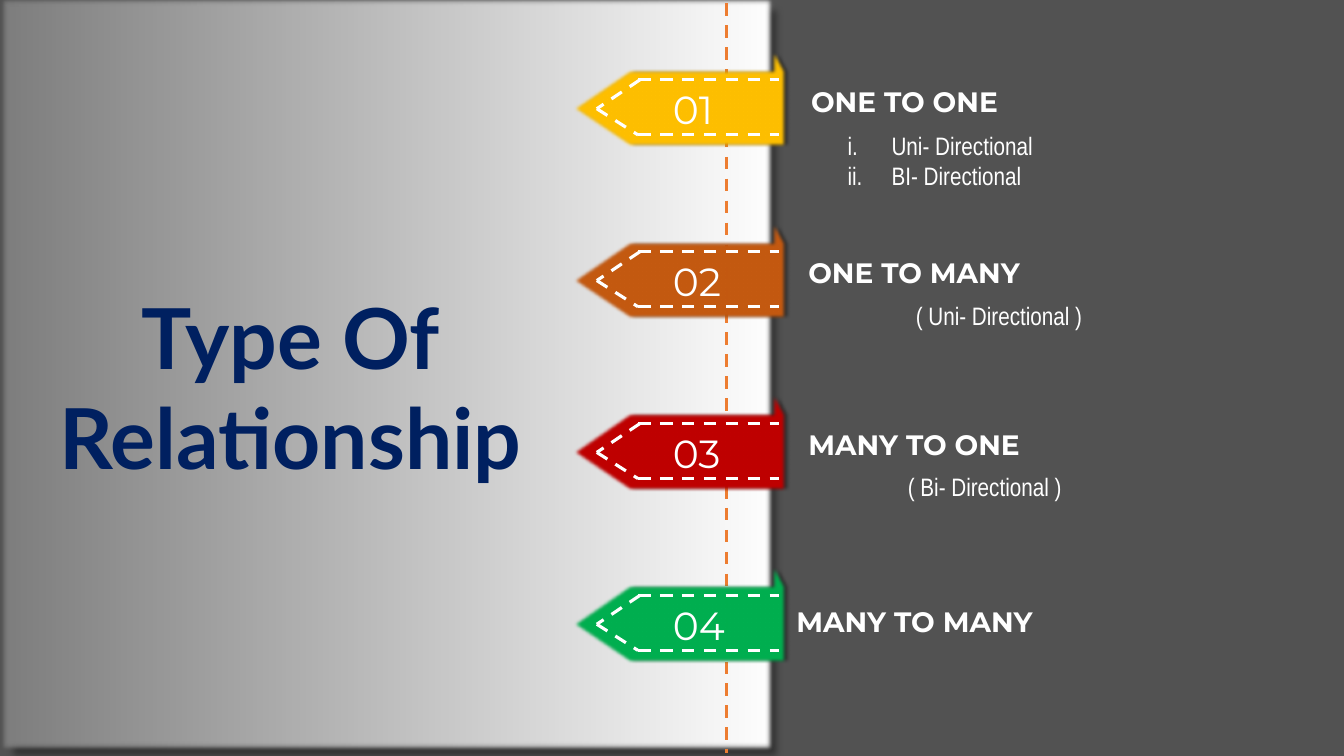
"""Build the slide on types of relationship."""
from typing import NamedTuple

import lxml.etree
import pptx
import pptx.dml.color
import pptx.enum.dml
import pptx.enum.shapes
import pptx.enum.text
import pptx.oxml.ns
import pptx.util

Cm = pptx.util.Cm
Pt = pptx.util.Pt
RGB = pptx.dml.color.RGBColor
qn = pptx.oxml.ns.qn

WHITE = RGB(0xFF, 0xFF, 0xFF)
GREY = RGB(0x7C, 0x7C, 0x7C)
DARK = RGB(0x52, 0x52, 0x52)
NAVY = RGB(0x00, 0x20, 0x60)
ORANGE = RGB(0xED, 0x7D, 0x31)
GOLD = RGB(0xFF, 0xC0, 0x00)
RUST = RGB(0xC5, 0x5A, 0x11)
RED = RGB(0xC0, 0x00, 0x00)
GREEN = RGB(0x00, 0xB0, 0x50)

HEAD = {"name": "Lato", "size": Pt(60), "bold": True, "color": NAVY}
COUNT = {"name": "Montserrat", "size": Pt(28), "color": WHITE}
LABEL = {"name": "Montserrat", "size": Pt(20), "bold": True, "color": WHITE}
NOTE = {"name": "Arial Narrow", "size": Pt(18), "color": WHITE}

PITCH = 4.33
ARROW = [(15.8, 1.73), (19.81, 1.73), (19.81, 3.73), (15.8, 3.73), (14.33, 2.74)]
FOLD = [(19.41, 0.99), (19.81, 1.73), (19.41, 1.73)]
STITCH = [
    ((16.08, 2.01), (19.63, 2.01)),
    ((16.08, 3.4), (19.63, 3.4)),
    ((15.04, 2.74), (16.08, 3.4)),
    ((16.13, 2.01), (15.04, 2.74)),
]


class Box(NamedTuple):
    """Place of a text box in centimetres."""
    left: float
    top: float
    width: float
    height: float


class Kind(NamedTuple):
    """One kind of relationship, with its flag and texts."""
    color: RGB
    title: str
    place: Box
    notes: list[str]
    area: Box | None


KINDS = [
    Kind(GOLD, "ONE TO ONE", Box(20.19, 2.01, 11.1, 1.11),
         ["Uni- Directional", "BI- Directional"], Box(21.11, 3.15, 7.95, 1.79)),
    Kind(RUST, "ONE TO MANY", Box(20.12, 6.32, 7.06, 1.11),
         ["( Uni- Directional )"], Box(22.83, 7.44, 5.84, 1.02)),
    Kind(RED, "MANY TO ONE", Box(20.12, 10.64, 7.06, 1.11),
         ["( Bi- Directional )"], Box(22.63, 11.76, 5.84, 1.02)),
    Kind(GREEN, "MANY TO MANY", Box(19.82, 15.11, 7.06, 1.11), [], None),
]


def style(font, form: dict) -> None:
    """Set each font value from the format."""
    for key, value in form.items():
        if key == "color":
            font.color.rgb = value
        else:
            setattr(font, key, value)


def write(shapes, box: Box, lines: list[str], form: dict,
          center: bool = False, roman: bool = False) -> None:
    """Add a text box with one paragraph per line."""
    frame = shapes.add_textbox(*map(Cm, box)).text_frame
    frame.word_wrap = True
    frame.text = "\n".join(lines)
    for para in frame.paragraphs:
        if center:
            para.alignment = pptx.enum.text.PP_ALIGN.CENTER
        if roman:
            props = para._p.get_or_add_pPr()
            props.set("marL", str(Cm(1.11)))
            props.set("indent", str(-Cm(1.11)))
            lxml.etree.SubElement(props, qn("a:buAutoNum"), type="romanLcPeriod")
        for run in para.runs:
            style(run.font, form)


def dash(shapes, start: tuple, end: tuple, color: RGB) -> None:
    """Add a dashed straight line."""
    link = shapes.add_connector(
        pptx.enum.shapes.MSO_CONNECTOR.STRAIGHT, *map(Cm, start + end))
    link.line.color.rgb = color
    link.line.width = Pt(2.25)
    link.line.dash_style = pptx.enum.dml.MSO_LINE.DASH
    lxml.etree.SubElement(link._element.spPr, qn("a:effectLst"))


def shade(shape, blur: float, dist: float, angle: int) -> None:
    """Give a shape no outline, a dark shadow and soft edges."""
    shape.line.fill.background()
    shape.shadow.inherit = False
    effects = shape._element.spPr.find(qn("a:effectLst"))
    outer = lxml.etree.SubElement(
        effects, qn("a:outerShdw"), blurRad=str(Pt(blur)), dist=str(Pt(dist)),
        dir=str(angle * 60000), algn="tl", rotWithShape="0")
    black = lxml.etree.SubElement(outer, qn("a:srgbClr"), val="000000")
    lxml.etree.SubElement(black, qn("a:alpha"), val="40000")
    lxml.etree.SubElement(effects, qn("a:softEdge"), rad=str(Pt(2.5)))


def panel(shapes) -> None:
    """Add the shaded panel on the left."""
    rect = shapes.add_shape(pptx.enum.shapes.MSO_SHAPE.RECTANGLE,
                            Cm(0), Cm(-0.08), Cm(19.53), Cm(19.05))
    rect.fill.gradient()
    rect.fill.gradient_angle = 180
    for stop, color, place in zip(rect.fill.gradient_stops, (WHITE, GREY), (0, 1)):
        stop.color.rgb = color
        stop.position = place
    shade(rect, 4, 8, 45)


def flag(shapes, color: RGB, drop: float) -> None:
    """Add a folded arrow flag with its stitches."""
    group = shapes.add_group_shape().shapes
    arrow, fold = ([(Cm(x), Cm(y + drop)) for x, y in part] for part in (ARROW, FOLD))
    pen = group.build_freeform(*arrow[0])
    pen.add_line_segments(arrow[1:], close=True)
    pen.move_to(*fold[0])
    pen.add_line_segments(fold[1:], close=True)
    body = pen.convert_to_shape()
    body.fill.solid()
    body.fill.fore_color.rgb = color
    shade(body, 0, 3, 0)
    for start, end in STITCH:
        dash(group, (start[0], start[1] + drop), (end[0], end[1] + drop), WHITE)


def main() -> None:
    """Build and save the slide."""
    deck = pptx.Presentation()
    deck.slide_width, deck.slide_height = Cm(33.87), Cm(19.05)
    slide = deck.slides.add_slide(deck.slide_layouts[6])
    slide.background.fill.solid()
    slide.background.fill.fore_color.rgb = DARK
    shapes = slide.shapes
    panel(shapes)
    write(shapes, Box(0, 7.06, 14.66, 5.38), ["Type Of", "Relationship"],
          HEAD, center=True)
    dash(shapes, (18.31, 0.08), (18.31, 18.97), ORANGE)
    for rank, kind in enumerate(KINDS):
        drop = rank * PITCH
        flag(shapes, kind.color, drop)
        write(shapes, Box(16.71, 2.03 + drop, 2.69, 1.45), [f"{rank + 1:02}"], COUNT)
        write(shapes, kind.place, [kind.title], LABEL)
        if kind.area:
            write(shapes, kind.area, kind.notes, NOTE, roman=len(kind.notes) > 1)
    deck.save("out.pptx")


if __name__ == "__main__":
    main()
